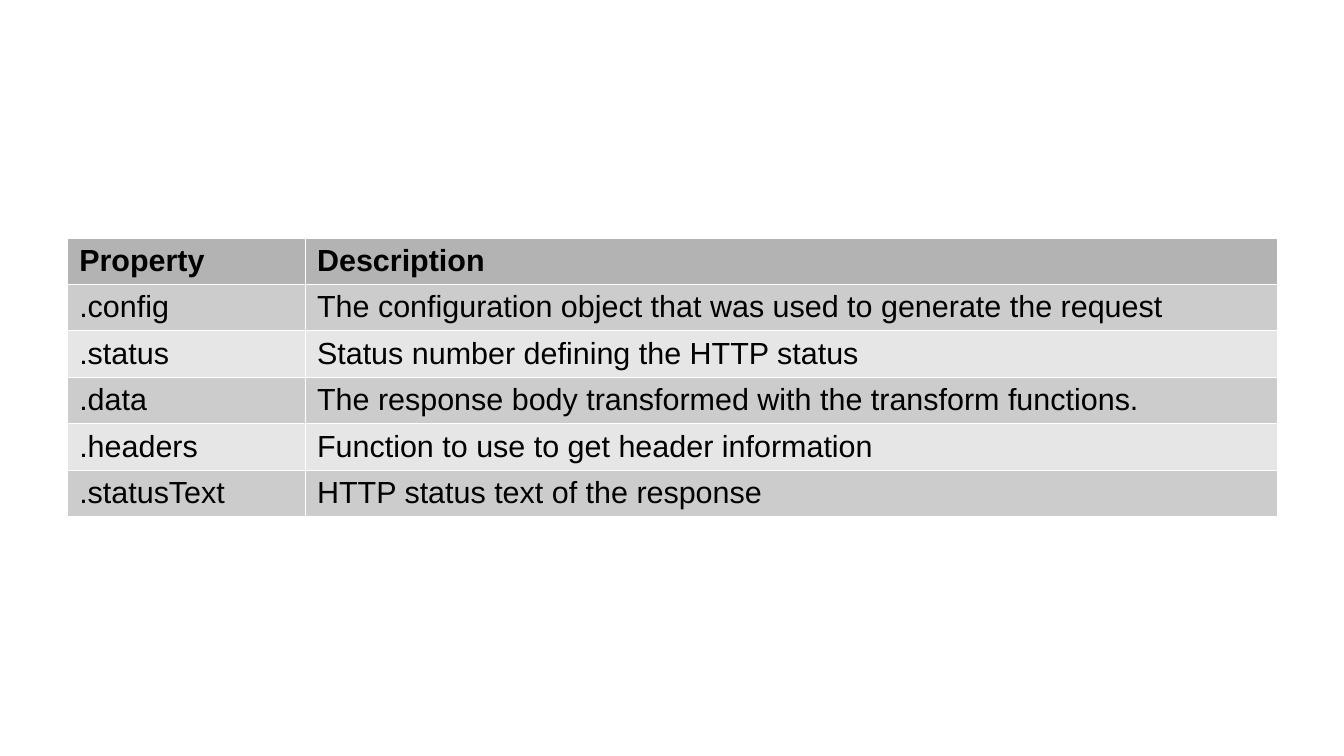
"""Build a slide with a table of HTTP response properties."""
from lxml.etree import SubElement
from pptx import Presentation
from pptx.dml.color import RGBColor
from pptx.oxml.ns import qn
from pptx.util import Inches, Pt

ROWS = [
    ("Property", "Description"),
    (".config", "The configuration object that was used to generate the request"),
    (".status", "Status number defining the HTTP status"),
    (".data", "The response body transformed with the transform functions."),
    (".headers", "Function to use to get header information"),
    (".statusText", "HTTP status text of the response"),
]
COLUMN_WIDTHS = (1.95, 7.97)
ROW_HEIGHT = 0.38
LEFT, TOP = 0.55, 1.95

HEADER_GREY = RGBColor(0xB3, 0xB3, 0xB3)
BAND_GREYS = (RGBColor(0xE6, 0xE6, 0xE6), RGBColor(0xCC, 0xCC, 0xCC))
BLACK = RGBColor(0, 0, 0)
WHITE = RGBColor(0xFF, 0xFF, 0xFF)


def add_borders(cell):
    properties = cell._tc.get_or_add_tcPr()
    for side in ("a:lnL", "a:lnR", "a:lnT", "a:lnB"):
        line = SubElement(properties, qn(side), w=str(Pt(0.06)))
        fill = SubElement(line, qn("a:solidFill"))
        SubElement(fill, qn("a:srgbClr"), val=str(WHITE))


def format_cell(cell, text, row):
    cell.text = text
    cell.margin_left = cell.margin_right = Inches(0.1)
    cell.margin_top = cell.margin_bottom = Inches(0.05)
    add_borders(cell)
    cell.fill.solid()
    cell.fill.fore_color.rgb = BAND_GREYS[row % 2] if row else HEADER_GREY
    font = cell.text_frame.paragraphs[0].font
    font.name, font.size, font.bold = "Arial", Pt(18), row == 0
    font.color.rgb = BLACK


def main():
    deck = Presentation()
    deck.slide_width, deck.slide_height = Inches(11.02), Inches(6.2)
    page = deck.slides.add_slide(deck.slide_layouts[6])
    table = page.shapes.add_table(
        len(ROWS), len(COLUMN_WIDTHS), Inches(LEFT), Inches(TOP),
        Inches(sum(COLUMN_WIDTHS)), Inches(ROW_HEIGHT * len(ROWS)),
    ).table
    for column, width in zip(table.columns, COLUMN_WIDTHS):
        column.width = Inches(width)
    for row, texts in enumerate(ROWS):
        for column, text in enumerate(texts):
            format_cell(table.cell(row, column), text, row)
    deck.save("out.pptx")


if __name__ == "__main__":
    main()
